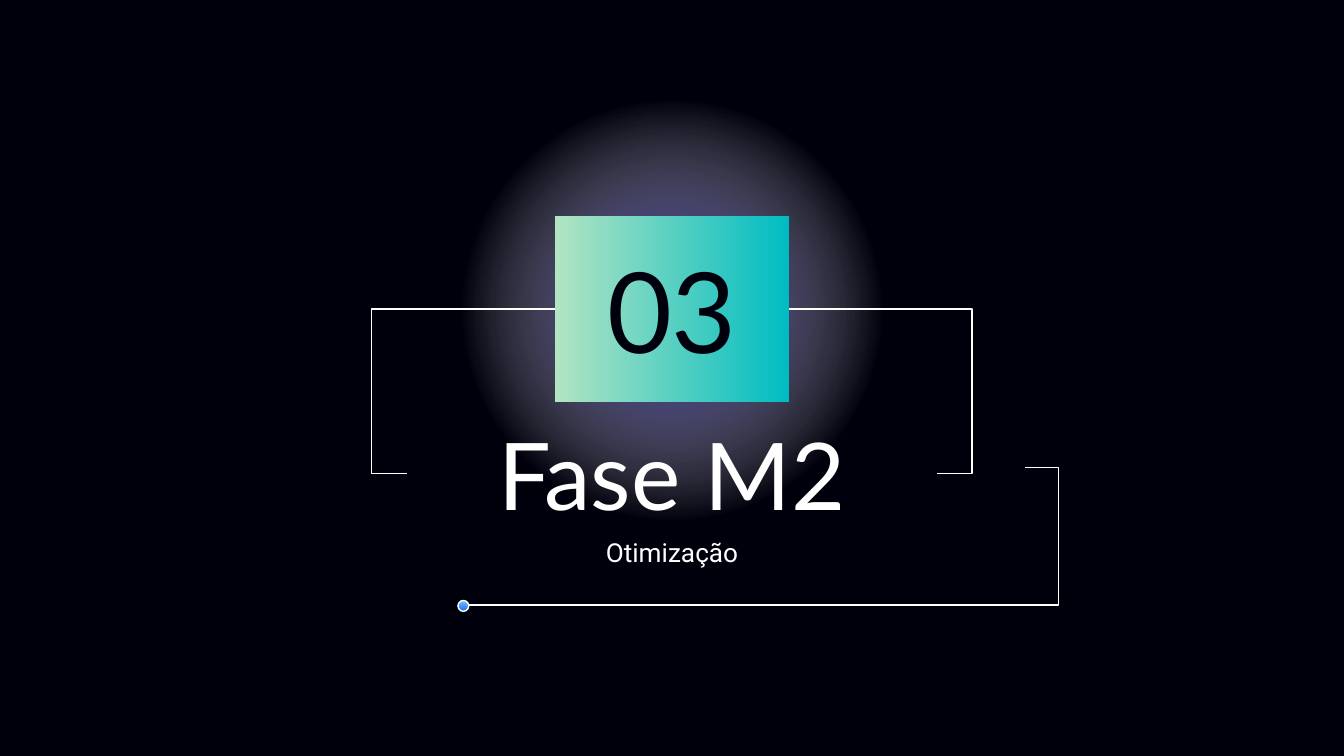
from dataclasses import dataclass

import lxml.etree
import pptx
import pptx.dml.color
import pptx.enum.shapes
import pptx.enum.text
import pptx.oxml
import pptx.oxml.ns
import pptx.util

Pt = pptx.util.Pt
SHAPE = pptx.enum.shapes.MSO_SHAPE
ANCHOR = pptx.enum.text.MSO_ANCHOR
qn = pptx.oxml.ns.qn

COLOURS = {
    "night": "00000D", "white": "FFFFFF", "violet": "170F8D",
    "teal": "00BCC2", "mint": "B2E4C2", "sky": "82BCFE", "blue": "0C77F1",
}
LINE_WIDTH = 0.75
CENTRE = 360
RADIAL = '<a:path path="circle"><a:fillToRect l="50000" t="50000" r="50000" b="50000"/></a:path>'


@dataclass
class Stop:
    percent: int
    colour: str
    opacity: int = 100


@dataclass
class GradientShape:
    kind: int
    left: float
    top: float
    width: float
    height: float
    stops: list[Stop]
    angle: int | None = None  # None means radial
    outlined: bool = False


@dataclass
class Bracket:
    begin: tuple[float, float]
    end: tuple[float, float]
    bend: float  # position of the upright, as a share of the width


@dataclass
class Label:
    text: str
    top: float
    width: float
    height: float
    anchor: int
    font: dict
    space_after: float = 0


def rgb(name: str) -> pptx.dml.color.RGBColor:
    return pptx.dml.color.RGBColor.from_string(COLOURS[name])


def outline(line) -> None:
    line.color.rgb = rgb("white")
    line.width = Pt(LINE_WIDTH)


def draw_gradient_shape(shapes, item: GradientShape) -> None:
    shape = shapes.add_shape(
        item.kind, Pt(item.left), Pt(item.top), Pt(item.width), Pt(item.height))
    shape.shadow.inherit = False
    if item.outlined:
        outline(shape.line)
    else:
        shape.line.fill.background()
    stops = "".join(
        f'<a:gs pos="{stop.percent * 1000}"><a:srgbClr val="{COLOURS[stop.colour]}">'
        f'<a:alpha val="{stop.opacity * 1000}"/></a:srgbClr></a:gs>'
        for stop in item.stops)
    direction = RADIAL if item.angle is None else f'<a:lin ang="{item.angle * 60000}" scaled="0"/>'
    gradient = pptx.oxml.parse_xml(
        f'<a:gradFill {pptx.oxml.ns.nsdecls("a")} rotWithShape="1">'
        f'<a:gsLst>{stops}</a:gsLst>{direction}</a:gradFill>')
    shape.fill.gradient()
    properties = shape.element.spPr
    properties.replace(properties.find(qn("a:gradFill")), gradient)


def draw_bracket(shapes, bracket: Bracket) -> None:
    connector = shapes.add_connector(
        pptx.enum.shapes.MSO_CONNECTOR.ELBOW,
        *(Pt(value) for value in bracket.begin + bracket.end))
    outline(connector.line)
    properties = connector.element.spPr
    lxml.etree.SubElement(properties, qn("a:effectLst"))
    adjustments = properties.find(qn("a:prstGeom")).get_or_add_avLst()
    lxml.etree.SubElement(adjustments, qn("a:gd"), name="adj1",
                          fmla=f"val {round(bracket.bend * 100000)}")


def draw_label(shapes, label: Label) -> None:
    box = shapes.add_textbox(Pt(CENTRE - label.width / 2), Pt(label.top),
                             Pt(label.width), Pt(label.height))
    frame_format = {"word_wrap": True, "vertical_anchor": label.anchor}
    frame_format |= {f"margin_{side}": Pt(7.2) for side in ("left", "top", "right", "bottom")}
    for name, value in frame_format.items():
        setattr(box.text_frame, name, value)
    paragraph = box.text_frame.paragraphs[0]
    paragraph.alignment = pptx.enum.text.PP_ALIGN.CENTER
    paragraph.space_after = Pt(label.space_after)
    run = paragraph.add_run()
    run.text = label.text
    for name, value in label.font.items():
        if name == "colour":
            run.font.color.rgb = rgb(value)
        else:
            setattr(run.font, name, value)


GLOW = GradientShape(SHAPE.OVAL, 222.5, 42.5, 274.5, 247,
                     [Stop(0, "violet"), Stop(61, "white", 0), Stop(100, "white", 0)])
BADGE = GradientShape(SHAPE.RECTANGLE, 297.4, 115.9, 125.2, 99.4,
                      [Stop(0, "teal"), Stop(100, "mint")], angle=180)
DOT = GradientShape(SHAPE.OVAL, 245.3, 321.7, 5.8, 5.8,
                    [Stop(0, "sky"), Stop(100, "blue")], angle=90, outlined=True)
SIDE_BRACKETS = [
    Bracket((297.4, 165.6), (218.2, 253.6), 1.24),
    Bracket((501.8, 253.6), (422.6, 165.6), -0.24),
]
DOT_BRACKET = Bracket((549.2, 250.3), (250.8, 324.2), -0.06)
LABELS = [
    Label("Fase M2", 220.3, 284.4, 66.2, ANCHOR.MIDDLE,
          {"name": "Lato", "size": Pt(50), "colour": "white"}),
    Label("Otimização", 280.1, 284.4, 31.7, ANCHOR.TOP,
          {"name": "Roboto", "size": Pt(14), "colour": "white"}, space_after=16),
    Label("03", 132.5, 100, 66.2, ANCHOR.MIDDLE,
          {"name": "Lato", "size": Pt(60), "colour": "night"}),
]


def main() -> None:
    presentation = pptx.Presentation()
    presentation.slide_width, presentation.slide_height = Pt(720), Pt(405)
    slide = presentation.slides.add_slide(presentation.slide_layouts[6])
    slide.background.fill.solid()
    slide.background.fill.fore_color.rgb = rgb("night")

    # Glow and number badge
    for item in (GLOW, BADGE):
        draw_gradient_shape(slide.shapes, item)

    # Brackets beside the badge
    for bracket in SIDE_BRACKETS:
        draw_bracket(slide.shapes, bracket)

    # Lower line with its dot
    group = slide.shapes.add_group_shape()
    draw_gradient_shape(group.shapes, DOT)
    draw_bracket(group.shapes, DOT_BRACKET)

    # Title, subtitle and number
    for label in LABELS:
        draw_label(slide.shapes, label)

    presentation.save("out.pptx")


if __name__ == "__main__":
    main()
